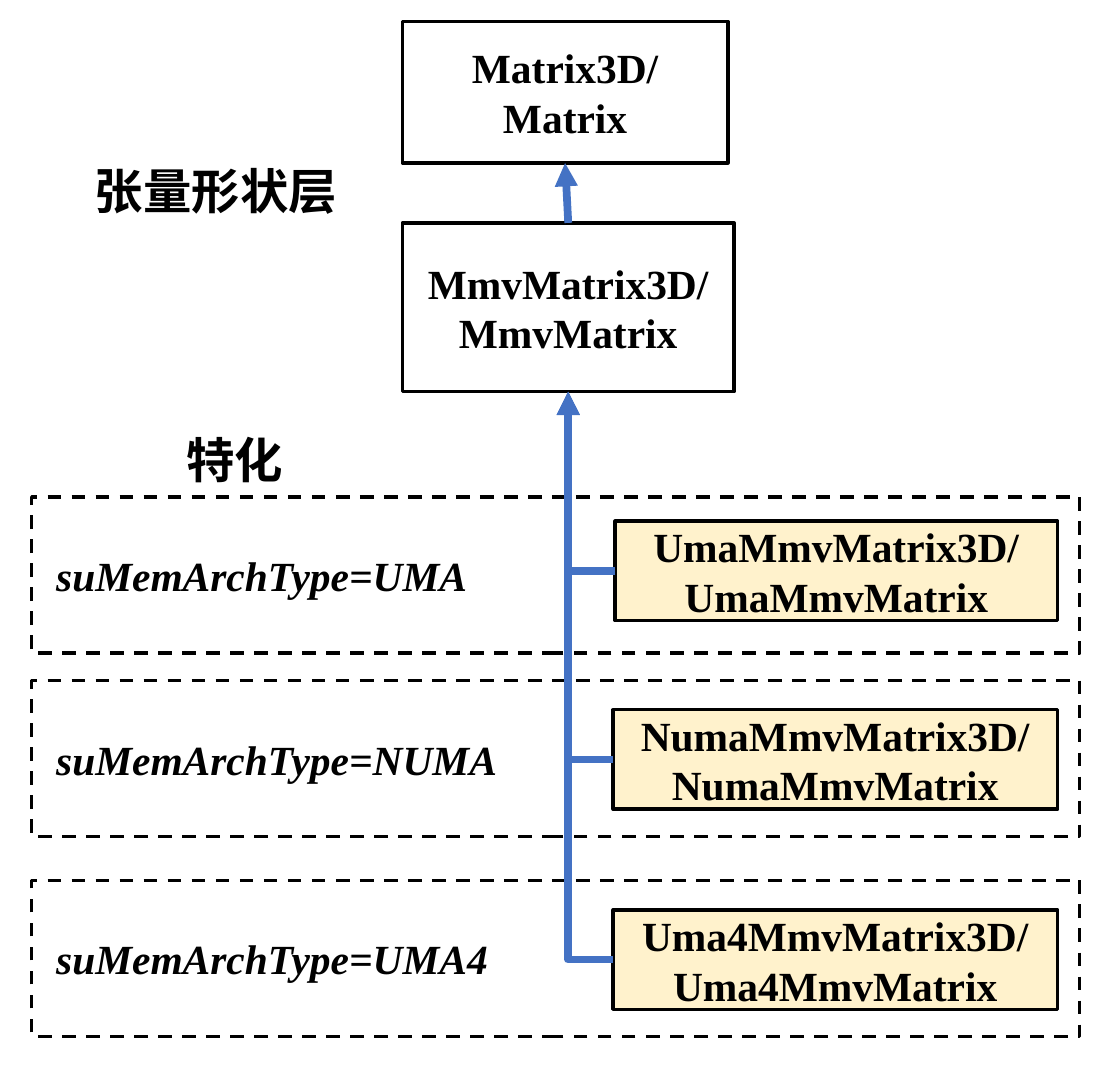
from dataclasses import dataclass
from typing import Optional

from pptx import Presentation
from pptx.dml.color import RGBColor
from pptx.enum.dml import MSO_LINE
from pptx.enum.shapes import MSO_CONNECTOR, MSO_SHAPE
from pptx.enum.text import MSO_ANCHOR, PP_ALIGN
from pptx.oxml.ns import qn
from pptx.shapes.autoshape import Shape
from pptx.slide import Slide
from pptx.util import Pt
from lxml.etree import SubElement


@dataclass(frozen=True)
class Theme:
    ink: RGBColor = RGBColor(0x00, 0x00, 0x00)
    base_fill: RGBColor = RGBColor(0xFF, 0xFF, 0xFF)
    special_fill: RGBColor = RGBColor(0xFF, 0xF2, 0xCC)
    arrow: RGBColor = RGBColor(0x44, 0x72, 0xC4)
    font: str = "Times New Roman"
    box_size: float = 12
    label_size: float = 14
    outline: float = 1
    arrow_width: float = 2.25


@dataclass(frozen=True)
class Box:
    left: float
    top: float
    width: float
    height: float
    text: str


@dataclass(frozen=True)
class Specialization:
    frame_top: float
    box_top: float
    box_left: float
    architecture: str


THEME = Theme()
FRAME_LEFT, FRAME_WIDTH, FRAME_HEIGHT = 9.2, 303.2, 45.2
SPECIAL_RIGHT, SPECIAL_HEIGHT = 306, 28.8

MATRIX = Box(116.4, 6.2, 94.2, 41, "Matrix3D/\nMatrix")
MMV_MATRIX = Box(116.4, 64.5, 96, 48.9, "MmvMatrix3D/\nMmvMatrix")
LABELS = (
    Box(12.2, 43.2, 100.8, 24.5, "张量形状层"),
    Box(12.2, 120.8, 111.6, 24.5, "特化"),
)
SPECIALIZATIONS = (
    Specialization(143.8, 150.8, 178, "UMA"),
    Specialization(196.9, 205.4, 177.4, "NUMA"),
    Specialization(254.7, 263.3, 177.4, "UMA4"),
)


def write_text(shape: Shape, text: str, size: float,
               alignment: PP_ALIGN = PP_ALIGN.CENTER, italic: bool = False) -> None:
    """Write bold text, one paragraph per line."""
    frame = shape.text_frame
    frame.text = text
    frame.word_wrap = True
    for paragraph in frame.paragraphs:
        paragraph.alignment = alignment
        for run in paragraph.runs:
            run.font.name = THEME.font
            run.font.size = Pt(size)
            run.font.bold = True
            run.font.italic = italic or None
            run.font.color.rgb = THEME.ink


def add_rectangle(slide: Slide, box: Box, fill: Optional[RGBColor]) -> Shape:
    """Add an outlined rectangle, unfilled when no fill is given."""
    shape = slide.shapes.add_shape(
        MSO_SHAPE.RECTANGLE, Pt(box.left), Pt(box.top), Pt(box.width), Pt(box.height))
    shape.shadow.inherit = False
    if fill is None:
        shape.fill.background()
    else:
        shape.fill.solid()
        shape.fill.fore_color.rgb = fill
    shape.line.color.rgb = THEME.ink
    shape.line.width = Pt(THEME.outline)
    shape.text_frame.vertical_anchor = MSO_ANCHOR.MIDDLE
    return shape


def add_class_box(slide: Slide, box: Box, fill: RGBColor) -> Shape:
    """Add a filled box with centred class names."""
    shape = add_rectangle(slide, box, fill)
    shape.text_frame.margin_left = shape.text_frame.margin_right = Pt(3.6)
    write_text(shape, box.text, THEME.box_size)
    return shape


def add_frame(slide: Slide, special: Specialization) -> None:
    """Add the dashed frame that names a memory architecture."""
    box = Box(FRAME_LEFT, special.frame_top, FRAME_WIDTH, FRAME_HEIGHT,
              f"suMemArchType={special.architecture}")
    shape = add_rectangle(slide, box, None)
    shape.line.dash_style = MSO_LINE.DASH
    write_text(shape, box.text, THEME.box_size, PP_ALIGN.LEFT, italic=True)


def add_special_box(slide: Slide, special: Specialization) -> Shape:
    """Add the class box of one specialization."""
    prefix = special.architecture.capitalize()
    box = Box(special.box_left, special.box_top, SPECIAL_RIGHT - special.box_left,
              SPECIAL_HEIGHT, f"{prefix}MmvMatrix3D/\n{prefix}MmvMatrix")
    return add_class_box(slide, box, THEME.special_fill)


def add_label(slide: Slide, label: Box) -> None:
    """Add a centred layer label."""
    shape = slide.shapes.add_textbox(
        Pt(label.left), Pt(label.top), Pt(label.width), Pt(label.height))
    write_text(shape, label.text, THEME.label_size)


def add_arrow(slide: Slide, child: Shape, child_site: int, parent: Shape,
              kind: MSO_CONNECTOR) -> None:
    """Join a child to the bottom of its parent, with one corner if elbowed."""
    connector = slide.shapes.add_connector(kind, 0, 0, 0, 0)
    connector.begin_connect(child, child_site)
    connector.end_connect(parent, 2)
    connector.line.color.rgb = THEME.arrow
    connector.line.width = Pt(THEME.arrow_width)
    properties = connector._element.spPr
    if kind == MSO_CONNECTOR.ELBOW:
        properties.find(qn("a:prstGeom")).set("prst", "bentConnector2")
    SubElement(properties.find(qn("a:ln")), qn("a:tailEnd"), type="triangle")
    SubElement(properties, qn("a:effectLst"))


def main() -> None:
    """Build the class hierarchy slide."""
    presentation = Presentation()
    presentation.slide_width, presentation.slide_height = Pt(324), Pt(309.6)
    slide = presentation.slides.add_slide(presentation.slide_layouts[6])
    for special in SPECIALIZATIONS:
        add_frame(slide, special)
    matrix = add_class_box(slide, MATRIX, THEME.base_fill)
    mmv_matrix = add_class_box(slide, MMV_MATRIX, THEME.base_fill)
    for special in SPECIALIZATIONS:
        special_box = add_special_box(slide, special)
        add_arrow(slide, special_box, 1, mmv_matrix, MSO_CONNECTOR.ELBOW)
    add_arrow(slide, mmv_matrix, 0, matrix, MSO_CONNECTOR.STRAIGHT)
    for label in LABELS:
        add_label(slide, label)
    presentation.save("out.pptx")


if __name__ == "__main__":
    main()
